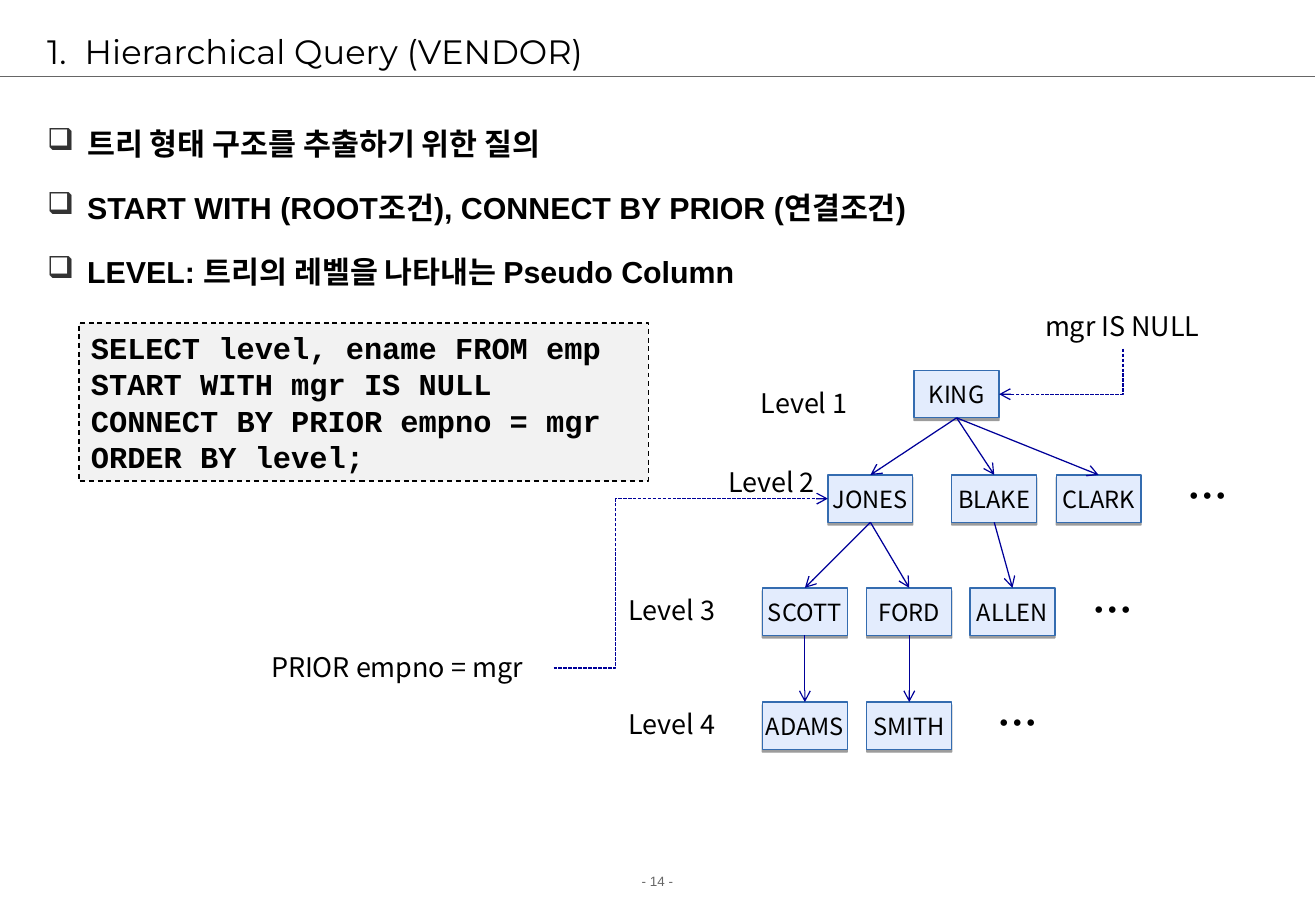
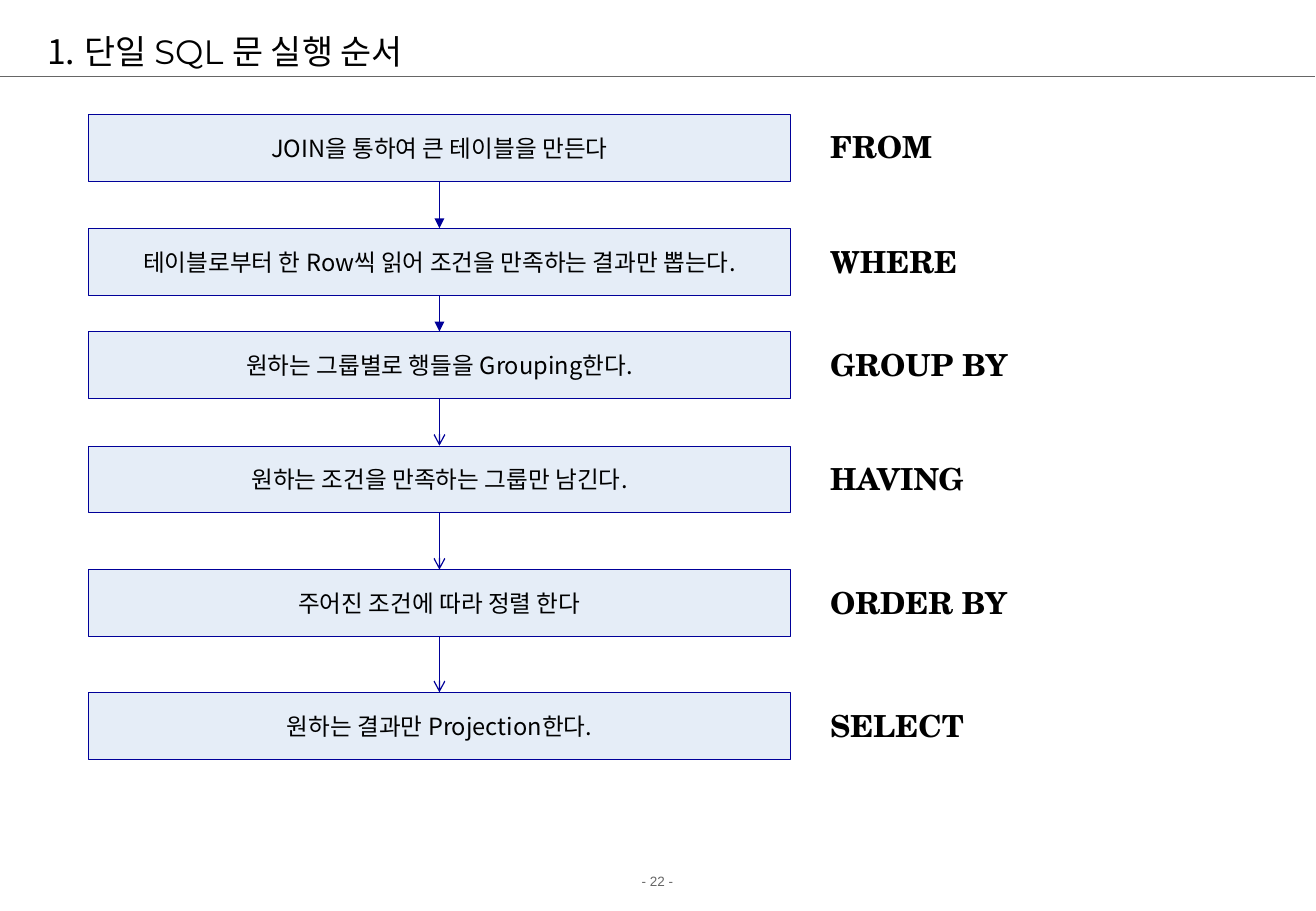
from lxml import etree
from pptx import Presentation
from pptx import util as u
from pptx.dml.color import RGBColor
from pptx.enum import dml, shapes, text
from pptx.oxml.ns import qn

I = u.Inches
SANS = "Noto Sans CJK KR"
BLACK, GREY, NAVY = "000000", "666666", "000099"
LEFT, MID = text.PP_ALIGN.LEFT, text.PP_ALIGN.CENTER
RECT, FLOW = shapes.MSO_SHAPE.RECTANGLE, shapes.MSO_SHAPE.FLOWCHART_PROCESS
STRAIGHT, ELBOW = shapes.MSO_CONNECTOR.STRAIGHT, shapes.MSO_CONNECTOR.ELBOW

POINTS = [
    "트리 형태 구조를 추출하기 위한 질의",
    "START WITH (ROOT조건), CONNECT BY PRIOR (연결조건)",
    "LEVEL: 트리의 레벨을 나타내는 Pseudo Column",
]
QUERY = [
    "SELECT level, ename FROM emp",
    "START WITH mgr IS NULL",
    "CONNECT BY PRIOR empno = mgr",
    "ORDER BY level;",
]
ROWS = [3.05, 3.91, 4.84, 5.78]
NODE_W, NODE_H = 0.7, 0.39
# name: (left, row, parent)
TREE = {
    "KING": (7.53, 0, None),
    "JONES": (6.82, 1, "KING"),
    "BLAKE": (7.84, 1, "KING"),
    "CLARK": (8.7, 1, "KING"),
    "SCOTT": (6.28, 2, "JONES"),
    "FORD": (7.14, 2, "JONES"),
    "ALLEN": (7.99, 2, "BLAKE"),
    "ADAMS": (6.28, 3, "SCOTT"),
    "SMITH": (7.14, 3, "FORD"),
}
DOTS = [(9.17, 3.83), (8.39, 4.77), (7.6, 5.7)]
LABELS = [
    ("Level 1", 5.96, 3.13, 1.33),
    ("Level 2", 5.69, 3.78, 1.33),
    ("Level 3", 4.87, 4.84, 1.33),
    ("Level 4", 4.87, 5.78, 1.33),
    ("mgr IS NULL", 8.15, 2.5, 2.19),
    ("PRIOR empno = mgr", 1.98, 5.31, 2.58),
]
# clause, step, top, head of the arrow leading in
STEPS = [
    ("FROM", "JOIN을 통하여 큰 테이블을 만든다", 0.94, None),
    ("WHERE", "테이블로부터 한 Row씩 읽어 조건을 만족하는 결과만 뽑는다.", 1.88, "triangle"),
    ("GROUP BY", "원하는 그룹별로 행들을 Grouping한다.", 2.73, "triangle"),
    ("HAVING", "원하는 조건을 만족하는 그룹만 남긴다.", 3.67, "arrow"),
    ("ORDER BY", "주어진 조건에 따라 정렬 한다", 4.69, "arrow"),
    ("SELECT", "원하는 결과만 Projection한다.", 5.7, "arrow"),
]


def rgb(code):
    return RGBColor.from_string(code)


def sub(parent, tag, **attrs):
    return etree.SubElement(parent, qn(tag), {k: str(v) for k, v in attrs.items()})


def write(shape, lines, size=14, font=SANS, color=BLACK, bold=False, align=LEFT,
          anchor=text.MSO_ANCHOR.TOP, wrap=True, inset=None, space=None,
          before=None, indent=None, mark=None, tint=BLACK):
    """Fill a shape with paragraphs; mark is a bullet sign, or "1." to number."""
    frame = shape.text_frame
    frame.word_wrap, frame.vertical_anchor = wrap, anchor
    if inset is not None:
        frame.margin_left = frame.margin_right = I(inset)
        frame.margin_top = frame.margin_bottom = I(inset)
    for i, line in enumerate([lines] if isinstance(lines, str) else lines):
        par = frame.add_paragraph() if i else frame.paragraphs[0]
        par.alignment, par.line_spacing = align, space
        if before:
            par.space_before = u.Pt(before)
        run = par.add_run()
        run.text = line
        style = run.font
        style.size, style.name, style.bold = u.Pt(size), font, bold
        style.color.rgb = rgb(color)
        sub(run._r.get_or_add_rPr(), "a:ea", typeface=SANS)
        if mark:
            props = par._p.get_or_add_pPr()
            props.set("marL", str(I(indent)))
            props.set("indent", str(-I(indent)))
            sub(sub(props, "a:buClr"), "a:srgbClr", val=tint)
            if mark == "1.":
                sub(props, "a:buAutoNum", type="arabicPeriod")
            else:
                sub(props, "a:buChar", char=mark)


def label(slide, lines, x, y, w, h, **form):
    box = slide.shapes.add_textbox(I(x), I(y), I(w), I(h))
    write(box, lines, **form)


def block(slide, lines, x, y, w, h, fill, line, width=0.75, kind=RECT, dash=None, **form):
    box = slide.shapes.add_shape(kind, I(x), I(y), I(w), I(h))
    box.shadow.inherit = False
    box.fill.solid()
    box.fill.fore_color.rgb = rgb(fill)
    box.line.color.rgb = rgb(line)
    box.line.width = u.Pt(width)
    if dash:
        box.line.dash_style = dash
    write(box, lines, **form)
    return box


def wire(slide, start, end, kind=STRAIGHT, color=NAVY, head=None, dash=None):
    link = slide.shapes.add_connector(kind, *map(I, start + end))
    link.line.color.rgb = rgb(color)
    link.line.width = u.Pt(0.75)
    if dash:
        link.line.dash_style = dash
    if head:
        sub(link.line._get_or_add_ln(), "a:tailEnd", type=head)
    sub(link._element.spPr, "a:effectLst")
    return link


def join(slide, top, low, head):
    """Glue an arrow from the bottom of one box to the top of another."""
    link = wire(slide, (0, 0), (1, 1), head=head)
    link.begin_connect(top, 2)
    link.end_connect(low, 0)


def corner(slide, start, end, **form):
    """Arrow that runs down, then left: a one-bend elbow turned by 90 degrees."""
    (x1, y1), (x2, y2) = start, end
    cx, cy = (x1 + x2) / 2, (y1 + y2) / 2
    dx, dy = (y2 - y1) / 2, (x1 - x2) / 2
    link = wire(slide, (cx - dx, cy - dy), (cx + dx, cy + dy), ELBOW, **form)
    props = link._element.spPr
    props.find(qn("a:xfrm")).set("rot", "5400000")
    props.find(qn("a:prstGeom")).set("prst", "bentConnector2")


def page(deck, title, number):
    slide = deck.slides.add_slide(deck.slide_layouts[6])
    label(slide, f"- {number} -", 0, 7.14, 10.83, 0.24, size=8, font="Arial",
          color=GREY, align=MID, space=1.01, before=5)
    wire(slide, (0, 0.63), (10.83, 0.63), color=GREY)
    label(slide, title, 0.29, 0.21, 10.17, 0.42, size=20, font="Montserrat",
          anchor=text.MSO_ANCHOR.MIDDLE, mark="1.", indent=0.31)
    return slide


CENTRED = dict(align=MID, anchor=text.MSO_ANCHOR.MIDDLE, wrap=False, inset=0)


def node(slide, name, x, y):
    box = block(slide, name, x, y, NODE_W, NODE_H, "E3ECFD", "346CB0", **CENTRED)
    effects = box._element.spPr.find(qn("a:effectLst"))
    shade = sub(effects, "a:outerShdw", blurRad=0, dist=u.Pt(1.6), dir=5400000,
                algn="t", rotWithShape=0)
    sub(sub(shade, "a:srgbClr", val=BLACK), "a:alpha", val=38000)
    return box


def tree_page(deck):
    slide = page(deck, "Hierarchical Query (VENDOR)", 14)
    label(slide, POINTS, 0.29, 0.83, 10.17, 1.8, size=18, font="Arial", bold=True,
          space=1.5, before=5.6, mark="❑", indent=0.33, tint="333333")
    block(slide, QUERY, 0.65, 2.66, 4.69, 1.3, "F2F2F2", BLACK,
          dash=dml.MSO_LINE.DASH, size=18, font="Courier New", bold=True)
    nodes = {n: node(slide, n, x, ROWS[row]) for n, (x, row, _) in TREE.items()}
    for name, (_, _, parent) in TREE.items():
        if parent:
            join(slide, nodes[parent], nodes[name], "arrow")
    for x, y in DOTS:
        label(slide, "…", x, y, 1.56, 0.5, size=24, bold=True, align=MID)
    for line, x, y, w in LABELS:
        label(slide, line, x, y, w, 0.37, size=16, align=MID)

    dotted = dict(head="arrow", dash=dml.MSO_LINE.SQUARE_DOT)
    king, jones = TREE["KING"][0], TREE["JONES"][0]
    corner(slide, (9.25, 2.87), (king + NODE_W, ROWS[0] + NODE_H / 2), **dotted)
    link = wire(slide, (4.56, 5.5), (jones, ROWS[1] + NODE_H / 2), ELBOW, **dotted)
    shape = link._element.spPr.find(qn("a:prstGeom"))
    sub(shape.find(qn("a:avLst")), "a:gd", name="adj1", fmla="val 22700")


def order_page(deck):
    slide = page(deck, "단일 SQL 문 실행 순서", 22)
    last = None
    for clause, step, y, head in STEPS:
        box = block(slide, step, 0.73, y, 5.78, 0.55, "E5EDF7", NAVY, width=0.25,
                    kind=FLOW, **CENTRED)
        label(slide, clause, 6.74, y + 0.07, 2.29, 0.4, size=18,
              font="TeX Gyre Schola", bold=True)
        if last:
            join(slide, last, box, head)
        last = box


def main():
    deck = Presentation()
    deck.slide_width, deck.slide_height = I(10.84), I(7.5)
    tree_page(deck)
    order_page(deck)
    deck.save("out.pptx")


if __name__ == "__main__":
    main()
